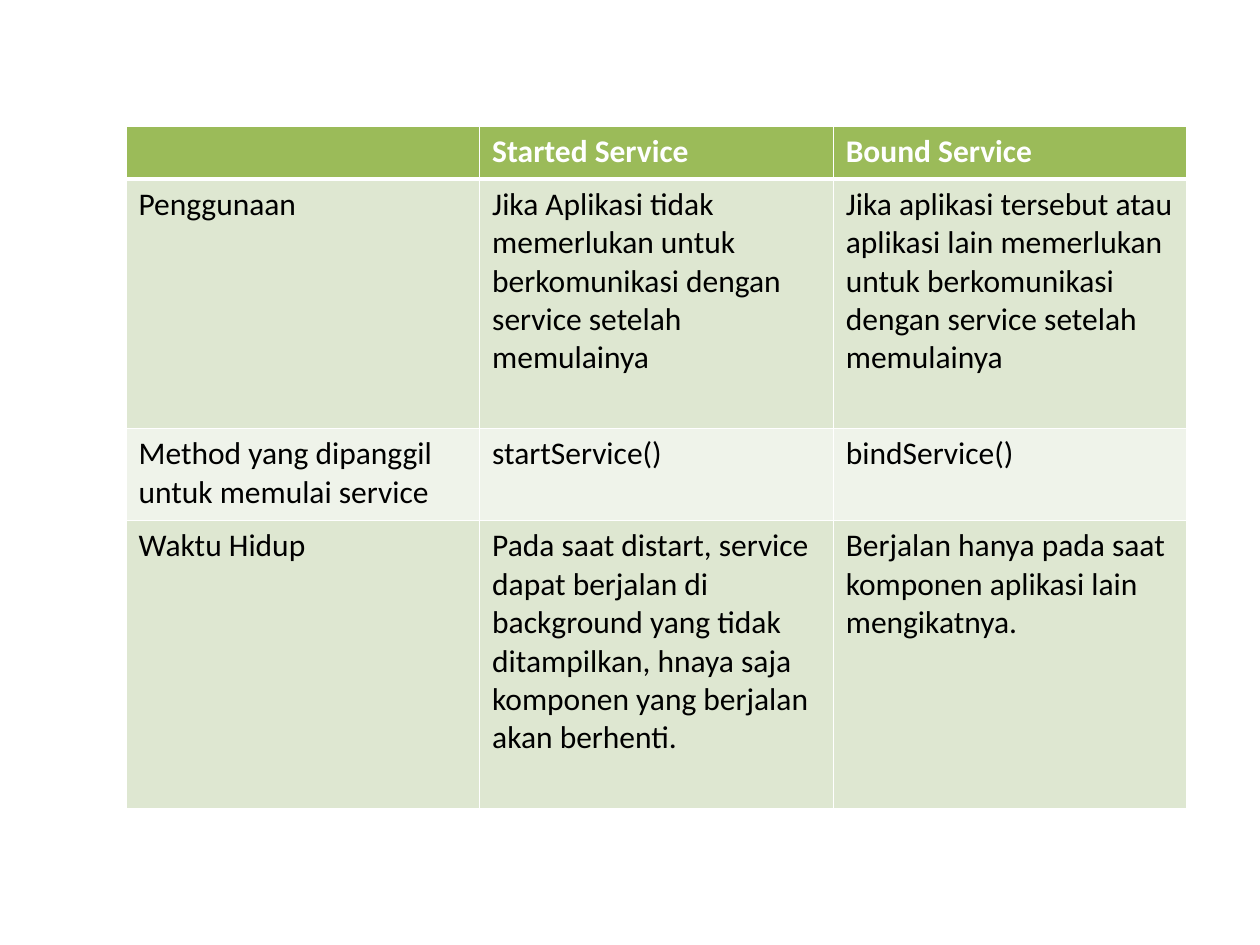
from dataclasses import dataclass

from lxml.etree import SubElement
from pptx import Presentation
from pptx.dml.color import RGBColor
from pptx.oxml.ns import qn
from pptx.util import Pt


@dataclass(frozen=True)
class Theme:
    """Colours and type of the slide."""
    font: str = "Calibri"
    size: int = 18
    header_fill: str = "9BBB59"
    bands: tuple = ("DEE7D1", "EFF3EA")
    header_text: str = "FFFFFF"
    body_text: str = "000000"
    border: str = "FFFFFF"
    thin: int = 1
    thick: int = 3


THEME = Theme()
COLUMN_WIDTH = 202.1
ROW_HEIGHTS = (30.2, 142.6, 52.6, 164.9)
SERVICES = (
    ("", "Started Service", "Bound Service"),
    ("Penggunaan",
     "Jika Aplikasi tidak memerlukan untuk berkomunikasi dengan service setelah memulainya",
     "Jika aplikasi tersebut atau aplikasi lain memerlukan untuk berkomunikasi dengan "
     "service setelah memulainya"),
    ("Method yang dipanggil untuk memulai service", "startService()", "bindService()"),
    ("Waktu Hidup",
     "Pada saat distart, service dapat berjalan di background yang tidak ditampilkan, "
     "hnaya saja komponen yang berjalan akan berhenti.",
     "Berjalan hanya pada saat komponen aplikasi lain mengikatnya."),
)


def add_borders(cell, top, bottom):
    """Draw the four cell borders, with the given top and bottom widths."""
    properties = cell._tc.get_or_add_tcPr()
    widths = {"a:lnL": THEME.thin, "a:lnR": THEME.thin, "a:lnT": top, "a:lnB": bottom}
    for tag, width in widths.items():
        line = SubElement(properties, qn(tag), w=str(int(Pt(width))))
        fill = SubElement(line, qn("a:solidFill"))
        SubElement(fill, qn("a:srgbClr"), val=THEME.border)


def fill_cell(cell, text, row):
    """Write and format one cell according to its row."""
    is_header = row == 0
    add_borders(cell,
                top=THEME.thick if row == 1 else THEME.thin,
                bottom=THEME.thick if is_header else THEME.thin)
    cell.fill.solid()
    band = THEME.bands[(row - 1) % len(THEME.bands)]
    cell.fill.fore_color.rgb = RGBColor.from_string(THEME.header_fill if is_header else band)
    cell.text = text
    font = cell.text_frame.paragraphs[0].font
    font.name = THEME.font
    font.size = Pt(THEME.size)
    font.bold = is_header
    font.color.rgb = RGBColor.from_string(THEME.header_text if is_header else THEME.body_text)


def add_service_table(page, left, top):
    """Add the table that compares the two kinds of service."""
    columns = len(SERVICES[0])
    frame = page.shapes.add_table(len(SERVICES), columns, Pt(left), Pt(top),
                                  Pt(COLUMN_WIDTH * columns), Pt(sum(ROW_HEIGHTS)))
    table = frame.table
    for column in table.columns:
        column.width = Pt(COLUMN_WIDTH)
    for row, (height, texts) in enumerate(zip(ROW_HEIGHTS, SERVICES)):
        table.rows[row].height = Pt(height)
        for column, text in enumerate(texts):
            fill_cell(table.cell(row, column), text, row)


def main():
    """Build and save the slide."""
    deck = Presentation()
    deck.slide_width, deck.slide_height = Pt(720), Pt(540)
    page = deck.slides.add_slide(deck.slide_layouts.get_by_name("Blank"))
    add_service_table(page, left=72, top=72)
    deck.save("out.pptx")


if __name__ == "__main__":
    main()
